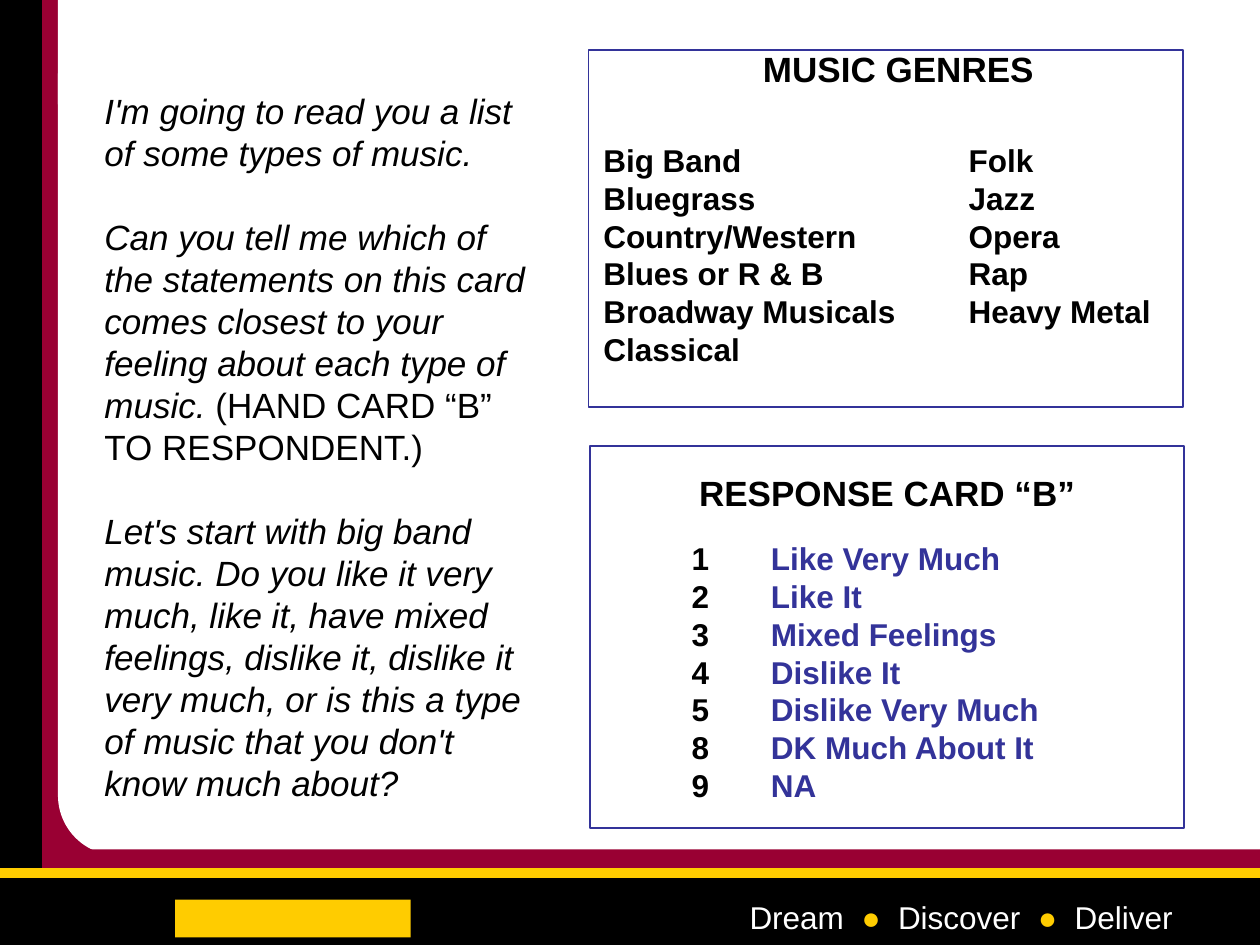
from dataclasses import dataclass

from lxml import etree
from pptx import Presentation
from pptx import util as u
from pptx.dml.color import RGBColor
from pptx.enum import shapes, text
from pptx.oxml.ns import qn

BLACK, WHITE, MAROON, GOLD, INDIGO = "000000", "FFFFFF", "990033", "FFCC00", "333399"
COLUMNS, ROWS = 100, 75  # the grid: one cell is a tenth of an inch

deck = Presentation()
deck.slide_width, deck.slide_height = u.Inches(10), u.Inches(7.5)


@dataclass
class Area:
    column: float
    row: float
    columns: float
    rows: float

    def lengths(self) -> tuple[int, ...]:
        across, down = deck.slide_width / COLUMNS, deck.slide_height / ROWS
        return (round(self.column * across), round(self.row * down),
                round(self.columns * across), round(self.rows * down))


@dataclass
class Panel:
    area: Area
    fill: str | None = None
    line: str | None = None
    width: float = 0.75
    corner: float = 0


@dataclass
class Span:
    words: str
    size: float = 18
    color: str = BLACK
    bold: bool = False
    italic: bool = False
    font: str = "Arial"


def rgb(color: str) -> RGBColor:
    return RGBColor.from_string(color)


def draw_panel(page, panel: Panel) -> None:
    kind = shapes.MSO_SHAPE.ROUNDED_RECTANGLE if panel.corner else shapes.MSO_SHAPE.RECTANGLE
    shape = page.shapes.add_shape(kind, *panel.area.lengths())
    shape.shadow.inherit = False
    if panel.corner:
        shape.adjustments[0] = panel.corner
    if panel.fill:
        shape.fill.solid()
        shape.fill.fore_color.rgb = rgb(panel.fill)
    else:
        shape.fill.background()
    if panel.line:
        shape.line.color.rgb = rgb(panel.line)
        shape.line.width = u.Pt(panel.width)
    else:
        shape.line.fill.background()


def add_tab(para, inches: float) -> None:
    tabs = etree.SubElement(para._p.get_or_add_pPr(), qn("a:tabLst"))
    etree.SubElement(tabs, qn("a:tab"), pos=str(u.Inches(inches)), algn="l")


def write(box, paras: list[list[Span]], gap: float = 0, leading: float = 0,
          tab: float = 0, align=text.PP_ALIGN.LEFT) -> None:
    frame = box.text_frame
    for index, spans in enumerate(paras):
        para = frame.add_paragraph() if index else frame.paragraphs[0]
        if tab:
            add_tab(para, tab)
        para.alignment = align
        if leading:
            para.line_spacing = u.Pt(leading)
        if index and gap:
            para.space_before = u.Pt(gap)
        for span in spans:
            run = para.add_run()
            run.text = span.words
            run.font.name, run.font.size = span.font, u.Pt(span.size)
            run.font.bold, run.font.italic = span.bold, span.italic
            run.font.color.rgb = rgb(span.color)


def add_text(page, area: Area, paras: list[list[Span]], **layout) -> None:
    box = page.shapes.add_textbox(*area.lengths())
    box.text_frame.word_wrap = True
    write(box, paras, **layout)


def draw_frame(page) -> None:
    # Maroon and black bands around a rounded white sheet, with a plain gold bar in the footer
    for panel in (
        Panel(Area(3.2, 0, 4.3, 75), MAROON),
        Panel(Area(10.4, 7.5, 89.6, 67.5), WHITE),
        Panel(Area(0, 0, 3.3, 75), BLACK, BLACK),
        Panel(Area(0, 69.6, 100, 5.4), BLACK, BLACK),
        Panel(Area(4.6, 1.2, 28.1, 66.7), WHITE, corner=0.17),
        Panel(Area(4.6, 0, 6.4, 8.3), WHITE),
        Panel(Area(13.9, 71.4, 18.7, 3), GOLD),
        Panel(Area(3.4, 67.4, 96.6, 2.2), MAROON),
    ):
        draw_panel(page, panel)

    # Gold rule
    left, top, width, _ = Area(0, 69.3, 100, 0).lengths()
    rule = page.shapes.add_connector(shapes.MSO_CONNECTOR.STRAIGHT, left, top, left + width, top)
    rule.line.color.rgb, rule.line.width = rgb(GOLD), u.Pt(6)
    etree.SubElement(rule._element.spPr, qn("a:effectLst"))

    # Motto
    motto = (("Dream  ", WHITE), ("●  ", GOLD), ("Discover  ", WHITE),
             ("●", GOLD), ("  Deliver", WHITE))
    add_text(page, Area(58.5, 70.8, 39.9, 4), [[Span(words, color=color) for words, color in motto]])


def draw_script(page) -> None:
    # Interviewer's words
    add_text(page, Area(7.3, 6.6, 35.8, 57.7), [
        [Span("I'm going to read you a list of some types of music.", 20, italic=True)],
        [Span("Can you tell me which of the statements on this card comes closest to your "
              "feeling about each type of music.", 20, italic=True),
         Span(" (HAND CARD “B” TO RESPONDENT.)", 20)],
        [Span("Let's start with big band music. Do you like it very much, like it, have mixed "
              "feelings, dislike it, dislike it very much, or is this a type of music that "
              "you don't know much about?", 20, italic=True)],
    ], gap=24, leading=24)


def draw_cards(page) -> None:
    # Response card
    answers = {1: "Like Very Much", 2: "Like It", 3: "Mixed Feelings", 4: "Dislike It",
               5: "Dislike Very Much", 8: "DK Much About It", 9: "NA"}
    add_text(page, Area(53.9, 42.3, 33.3, 22),
             [[Span(f"{code}\t", bold=True), Span(answer, color=INDIGO, bold=True)]
              for code, answer in answers.items()], leading=21.6, tab=0.63)
    add_text(page, Area(54.5, 36.9, 34, 4.4),
             [[Span("RESPONSE CARD “B”", 20, bold=True)]], leading=24)

    # Genres in two lists
    genres = (
        (Area(75.9, 10.7, 18.3, 22.4), ("Folk", "Jazz", "Opera", "Rap", "Heavy Metal")),
        (Area(46.9, 10.7, 29, 22.4), ("Big Band", "Bluegrass", "Country/Western",
                                      "Blues or R & B", "Broadway Musicals", "Classical")),
    )
    for area, names in genres:
        add_text(page, area, [[Span(name, bold=True)] for name in names], leading=21.6)

    # Card outlines
    for area in (Area(46.8, 35.4, 47.2, 30.3), Area(46.7, 4, 47.2, 28.3)):
        draw_panel(page, Panel(area, line=INDIGO, width=1))


def place_title(page) -> None:
    title = page.shapes.title
    title.left, title.top, title.width, title.height = Area(59.2, 3.3, 24.2, 4.3).lengths()
    title.text_frame.word_wrap = True
    title.text_frame.auto_size = text.MSO_AUTO_SIZE.NONE
    title.text_frame.vertical_anchor = text.MSO_ANCHOR.MIDDLE
    write(title, [[Span("MUSIC GENRES", 20, bold=True)]], align=text.PP_ALIGN.CENTER)
    page.shapes._spTree.append(title._element)  # bring in front of the white sheet


def main() -> None:
    page = deck.slides.add_slide(deck.slide_layouts[5])
    draw_frame(page)
    draw_script(page)
    draw_cards(page)
    place_title(page)
    deck.save("out.pptx")


if __name__ == "__main__":
    main()
